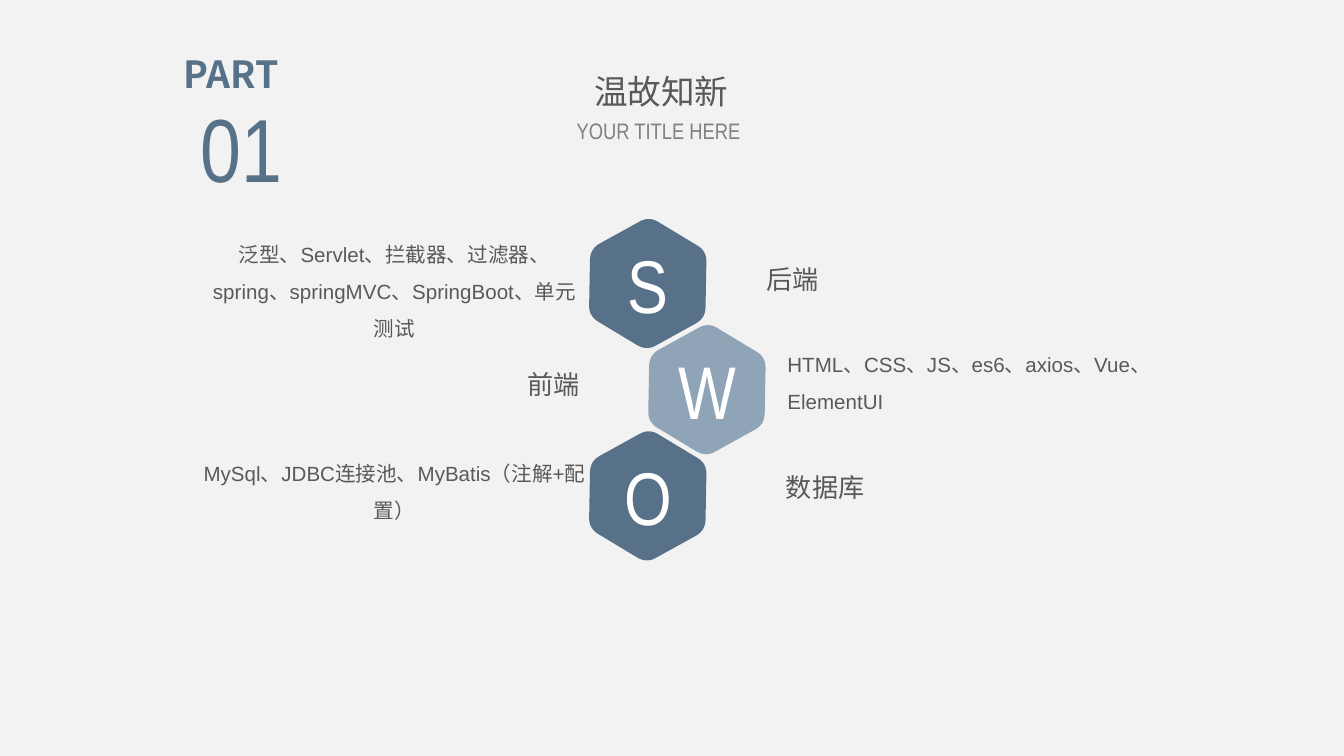
"""Build the review slide with three lettered hexagons and their topics."""
from math import cos, radians, sin

from lxml import etree
from pptx import Presentation
from pptx.dml.color import RGBColor
from pptx.enum.text import MSO_ANCHOR, MSO_AUTO_SIZE, PP_ALIGN
from pptx.oxml.ns import qn
from pptx.util import Inches, Pt

LEFT, CENTER = PP_ALIGN.LEFT, PP_ALIGN.CENTER
TOP = MSO_ANCHOR.TOP
GROW = MSO_AUTO_SIZE.SHAPE_TO_FIT_TEXT

SANS, NARROW, ARIAL = "Noto Sans CJK SC", "Arial Narrow", "Arial"
NAVY, STEEL, DARK, GRAY, WHITE = "577188", "8FA4B7", "595959", "808080", "FFFFFF"
BACKGROUND = "F2F2F2"
SLIDE_WIDTH = 10
SLIDE_HEIGHT = SLIDE_WIDTH * 9 / 16

STYLES = {
    "title": {"name": SANS, "size": Pt(18), "color": DARK},
    "subtitle": {"name": NARROW, "size": Pt(12), "color": GRAY},
    "part": {"name": SANS, "size": Pt(20), "color": NAVY, "bold": True},
    "number": {"name": NARROW, "size": Pt(48), "color": NAVY},
    "topic": {"name": SANS, "size": Pt(14), "color": DARK},
    "detail": {"name": ARIAL, "size": Pt(11), "color": DARK, "line_spacing": 1.5},
    "letter": {"name": NARROW, "size": Pt(40), "color": WHITE},
}

TITLE = ("温故知新", (3.8, 0.48, 2.24, 0.4))
TEXTS = [
    ("YOUR TITLE HERE", "subtitle", (4.18, 0.82, 1.44, 0.3), CENTER),
    ("PART", "part", (1, 0.33, 1.44, 0.44), CENTER),
    ("01", "number", (1, 0.64, 1.59, 0.91), CENTER),
    ("后端", "topic", (5.17, 1.91, 1.45, 0.34), CENTER),
    ("前端", "topic", (3.29, 2.69, 1.66, 0.34), CENTER),
    ("数据库", "topic", (5.19, 3.46, 1.9, 0.34), CENTER),
    ("泛型、Servlet、拦截器、过滤器、spring、springMVC、SpringBoot、单元测试",
     "detail", (1.41, 1.66, 3.05, 0.93), CENTER),
    ("HTML、CSS、JS、es6、axios、Vue、ElementUI",
     "detail", (5.76, 2.48, 3.05, 0.65), LEFT),
    ("MySql、JDBC连接池、MyBatis（注解+配置）",
     "detail", (1.41, 3.29, 3.05, 0.65), CENTER),
]
HEXAGONS = [("S", NAVY), ("W", STEEL), ("O", NAVY)]

HEXAGON_X, HEXAGON_Y = 4.82, 2.11
SHIFT_X, STEP_Y = 0.44, 0.79
RADIUS, CORNER, ROTATION = 0.5, 0.08, 31.1
CURVE_STEPS = 8
LETTER_WIDTH, LETTER_HEIGHT = 0.88, 0.77


def color(value):
    return RGBColor.from_string(value)


def write(shape, text, style, alignment):
    frame = shape.text_frame
    for name, value in {"word_wrap": True, "auto_size": GROW, "vertical_anchor": TOP}.items():
        setattr(frame, name, value)
    paragraph = frame.paragraphs[0]
    paragraph.alignment = alignment
    run = paragraph.add_run()
    run.text = text
    for name, value in STYLES[style].items():
        if name == "color":
            run.font.color.rgb = color(value)
        elif name == "line_spacing":
            paragraph.line_spacing = value
        else:
            setattr(run.font, name, value)
    east_asian = etree.SubElement(run._r.get_or_add_rPr(), qn("a:ea"))
    east_asian.set("typeface", SANS)


def add_text(shapes, text, style, box, alignment):
    write(shapes.add_textbox(*map(Inches, box)), text, style, alignment)


def hexagon_points(center_x, center_y):
    corners = [
        (center_x + RADIUS * cos(radians(60 * side)), center_y + RADIUS * sin(radians(60 * side)))
        for side in range(6)
    ]
    cut = CORNER / RADIUS
    points = []
    for index, corner in enumerate(corners):
        before, after = corners[index - 1], corners[(index + 1) % 6]
        for step in range(CURVE_STEPS + 1):
            t = step / CURVE_STEPS
            points.append(tuple(
                Inches(c + cut * ((1 - t) ** 2 * (b - c) + t ** 2 * (a - c)))
                for b, c, a in zip(before, corner, after)
            ))
    return points


def add_hexagon(slide, letter, fill, center_x, center_y):
    group = slide.shapes.add_group_shape()
    first, *others = hexagon_points(center_x, center_y)
    builder = group.shapes.build_freeform(*first)
    builder.add_line_segments(others, close=True)
    hexagon = builder.convert_to_shape()
    hexagon.rotation = ROTATION
    hexagon.shadow.inherit = False
    hexagon.fill.solid()
    hexagon.fill.fore_color.rgb = color(fill)
    hexagon.line.fill.background()
    box = (center_x - LETTER_WIDTH / 2, center_y - LETTER_HEIGHT / 2, LETTER_WIDTH, LETTER_HEIGHT)
    add_text(group.shapes, letter, "letter", box, CENTER)


def main():
    presentation = Presentation()
    presentation.slide_width = Inches(SLIDE_WIDTH)
    presentation.slide_height = Inches(SLIDE_HEIGHT)
    slide = presentation.slides.add_slide(presentation.slide_layouts[5])
    slide.background.fill.solid()
    slide.background.fill.fore_color.rgb = color(BACKGROUND)

    for index, (letter, fill) in enumerate(HEXAGONS):
        center_x = HEXAGON_X + SHIFT_X * (index % 2)
        add_hexagon(slide, letter, fill, center_x, HEXAGON_Y + STEP_Y * index)

    text, box = TITLE
    title = slide.shapes.title
    for name, value in zip(("left", "top", "width", "height"), box):
        setattr(title, name, Inches(value))
    write(title, text, "title", CENTER)
    for text, style, box, alignment in TEXTS:
        add_text(slide.shapes, text, style, box, alignment)

    presentation.save("out.pptx")


if __name__ == "__main__":
    main()
